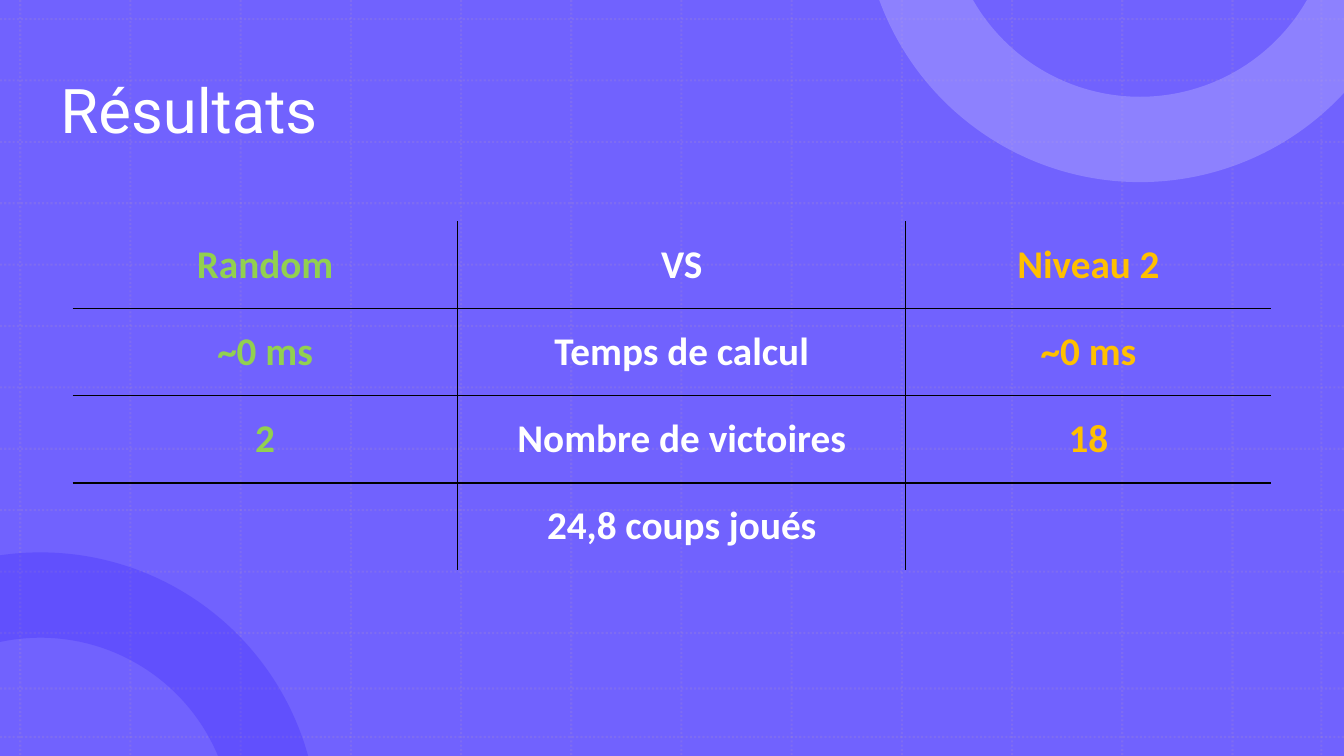
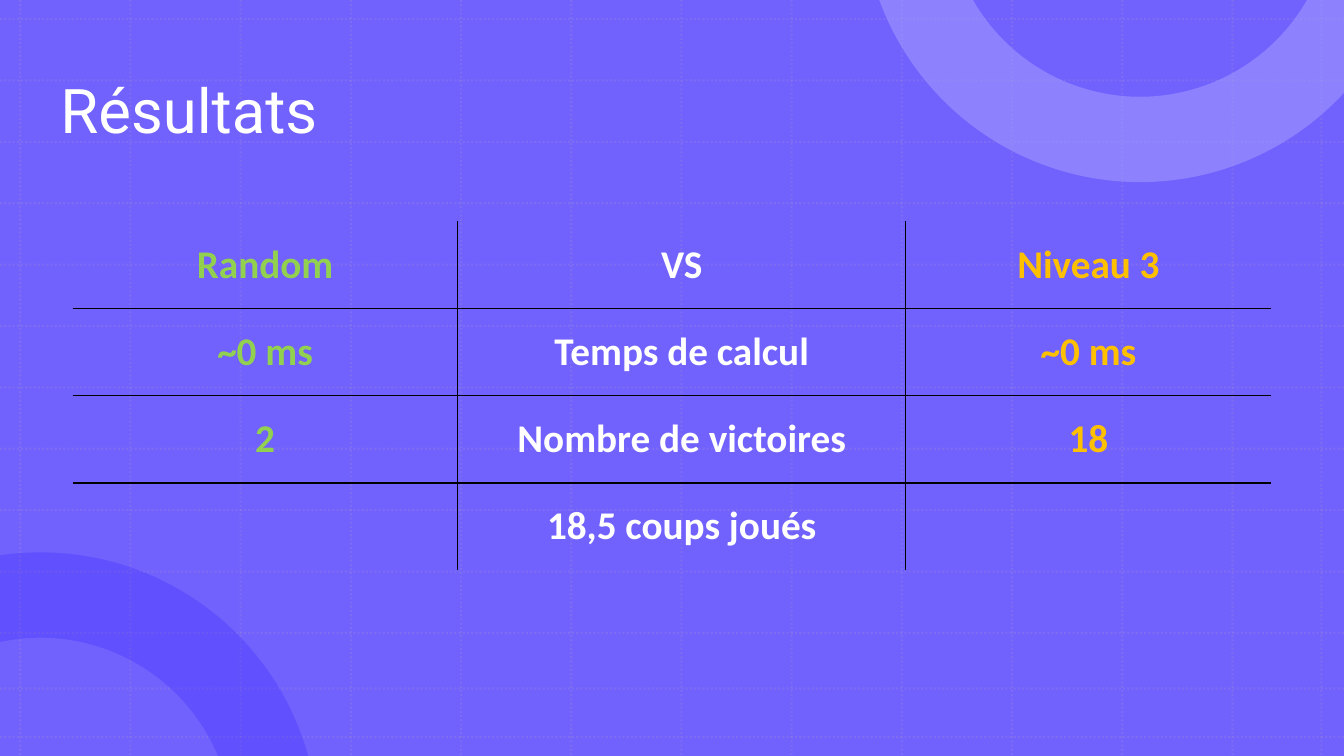
from dataclasses import dataclass
from math import acos, asin, cos, pi, sin, tan

from lxml.etree import SubElement
from pptx import Presentation
from pptx.dml.color import RGBColor
from pptx.enum.dml import MSO_LINE
from pptx.enum.shapes import MSO_CONNECTOR, MSO_SHAPE
from pptx.enum.text import MSO_ANCHOR, PP_ALIGN
from pptx.oxml.ns import qn
from pptx.util import Cm, Pt


@dataclass(frozen=True)
class Theme:
    """Colours, fonts and sizes of the deck."""
    width: float = 33.87
    height: float = 19.05
    back: str = "7162FE"
    grid: str = "B495C2"
    dark: str = "220BFD"
    light: str = "AAA1FE"
    white: str = "FFFFFF"
    black: str = "000000"
    green: str = "92D050"
    gold: str = "FFC000"
    head_font: str = "Roboto"
    body_font: str = "Calibri"
    head_size: int = 44
    body_size: int = 28


THEME = Theme()
HEAD = {"name": THEME.head_font, "size": Pt(THEME.head_size), "bold": False}
BODY = {"name": THEME.body_font, "size": Pt(THEME.body_size), "bold": True}
PLACE = {"left": Cm(1.27), "top": Cm(1.02), "width": Cm(29.79), "height": Cm(3.68)}


def apply(target, values):
    """Set each named attribute on the target."""
    for name, value in values.items():
        setattr(target, name, value)


def paint(fill, colour):
    """Make a fill solid in one colour."""
    fill.solid()
    fill.fore_color.rgb = RGBColor.from_string(colour)


def finish(shape, colour):
    """Give a shape a flat fill with no line."""
    shape.shadow.inherit = False
    paint(shape.fill, colour)
    shape.line.fill.background()


def fade(shape, percent):
    """Give the colour of a shape an opacity."""
    colour = next(shape.element.spPr.iter(qn("a:srgbClr")))
    SubElement(colour, qn("a:alpha"), val=str(percent * 1000))


def write(part, text, font, colour, align):
    """Write one styled line of text."""
    part.text = text
    line = part.paragraphs[0]
    line.alignment = align
    for run in line.runs:
        apply(run.font, font)
        run.font.color.rgb = RGBColor.from_string(colour)
    return line


def add_back(slide):
    """Cover the slide with the back colour."""
    back = slide.shapes.add_shape(
        MSO_SHAPE.RECTANGLE, 0, 0, Cm(THEME.width), Cm(THEME.height))
    finish(back, THEME.back)


def add_rule(slide, start, end):
    """Draw a dotted line of the grid."""
    ends = [Cm(value) for value in (*start, *end)]
    rule = slide.shapes.add_connector(MSO_CONNECTOR.STRAIGHT, *ends)
    paint(rule.line.fill, THEME.grid)
    apply(rule.line, {"width": Pt(1.5), "dash_style": MSO_LINE.ROUND_DOT})
    fade(rule, 20)
    SubElement(rule.element.spPr, qn("a:effectLst"))


def add_grid(slide):
    """Draw the dotted grid over the slide."""
    for x in [0.51 + 30.55 * step / 11 for step in range(12)] + [33.3]:
        add_rule(slide, (x, 0), (x, THEME.height))
    for y in [0.48 + 15.47 * step / 10 for step in range(11)] + [17.35, 18.57]:
        add_rule(slide, (0, y), (THEME.width, y))


def trace_arc(x, y, radius, side):
    """List the curve points of the arc that lies within the slide."""
    edge = THEME.height if side < 0 else 0
    low = asin(abs(y - edge) / radius)
    first = max(low, acos(min((THEME.width - x) / radius, 1)))
    last = min(pi - low, acos(max(-x / radius, -1)))

    def spot(turn, slope):
        """Find a point on the arc, or along its tangent."""
        return (Cm(x + radius * (cos(turn) - slope * sin(turn))),
                Cm(y + side * radius * (sin(turn) + slope * cos(turn))))

    points = [spot(first, 0)]
    for start, end in ((first, pi / 2), (pi / 2, last)):
        pull = 4 / 3 * tan((end - start) / 4)
        points += [spot(start, pull), spot(end, -pull), spot(end, 0)]
    return points


def bend(ring, starts):
    """Turn each three straight segments from a start into one curve."""
    lines = list(ring.element.iter(qn("a:lnTo")))
    for start in starts:
        head, *rest = lines[start:start + 3]
        head.tag = qn("a:cubicBezTo")
        for line in rest:
            head.append(line[0])
            line.getparent().remove(line)


def add_ring(slide, x, y, side, colour, percent, corner=()):
    """Draw the part of a ring that the slide shows."""
    outer = trace_arc(x, y, 7, side)
    inner = trace_arc(x, y, 4.85, side)
    points = [*outer, *inner[::-1], *corner]
    maker = slide.shapes.build_freeform(*points[0], scale=1.0)
    maker.add_line_segments(points[1:], close=True)
    ring = maker.convert_to_shape()
    bend(ring, (0, 3, 7, 10))
    finish(ring, colour)
    fade(ring, percent)


def set_layout(slide):
    """Put the shared scenery on the layout of a slide."""
    layout = slide.slide_layout
    for holder in list(layout.placeholders):
        if holder.placeholder_format.idx:
            layout.shapes.element.remove(holder.element)
    add_back(slide)
    add_grid(slide)
    add_ring(slide, 1.02, 20.92, -1, THEME.dark, 20)
    add_ring(slide, 28.73, -2.41, 1, THEME.light, 50, [(Cm(THEME.width), 0)])
    for shape in list(slide.shapes):
        if not shape.is_placeholder:
            layout.shapes.element.append(shape.element)


def set_title(slide, text):
    """Place and style the title."""
    title = slide.shapes.title
    apply(title, PLACE)
    frame = title.text_frame
    frame.vertical_anchor = MSO_ANCHOR.MIDDLE
    write(frame, text, HEAD, THEME.white, PP_ALIGN.LEFT).line_spacing = 0.9


def set_edges(cell, edges):
    """Rule the inner sides of a cell and clear the outer ones."""
    props = cell._tc.get_or_add_tcPr()
    for place, (side, shown) in enumerate(edges.items()):
        line = SubElement(props, qn("a:ln" + side), w=str(Pt(1)))
        if shown:
            fill = SubElement(line, qn("a:solidFill"))
            SubElement(fill, qn("a:srgbClr"), val=THEME.black)
        else:
            SubElement(line, qn("a:noFill"))
        props.insert(place, line)


def add_scores(slide, rows):
    """Add the table that sets two players side by side."""
    widths = (9.7, 11.3, 9.2)
    tall = 2.2
    table = slide.shapes.add_table(
        len(rows), len(widths), Cm(1.83), Cm(5.57),
        Cm(sum(widths)), Cm(tall * len(rows))).table
    apply(table, {"first_row": False, "horz_banding": False})
    for column, width in zip(table.columns, widths):
        column.width = Cm(width)
    for r, row in enumerate(rows):
        table.rows[r].height = Cm(tall)
        for c, colour in enumerate((THEME.green, THEME.white, THEME.gold)):
            cell = table.cell(r, c)
            cell.vertical_anchor = MSO_ANCHOR.MIDDLE
            cell.fill.background()
            write(cell.text_frame, row[c], BODY, colour, PP_ALIGN.CENTER)
            set_edges(cell, {"L": c > 0, "R": c < len(widths) - 1,
                             "T": r > 0, "B": r < len(rows) - 1})


def main():
    """Build and save the deck."""
    deck = Presentation()
    apply(deck, {"slide_width": Cm(THEME.width), "slide_height": Cm(THEME.height)})
    for level, moves in (("Niveau 2", "24,8"), ("Niveau 3", "18,5")):
        slide = deck.slides.add_slide(deck.slide_layouts[5])
        if len(deck.slides) == 1:
            set_layout(slide)
        set_title(slide, "Résultats")
        add_scores(slide, [
            ("Random", "VS", level),
            ("~0 ms", "Temps de calcul", "~0 ms"),
            ("2", "Nombre de victoires", "18"),
            ("", f"{moves} coups joués", ""),
        ])
    deck.save("out.pptx")


if __name__ == "__main__":
    main()
